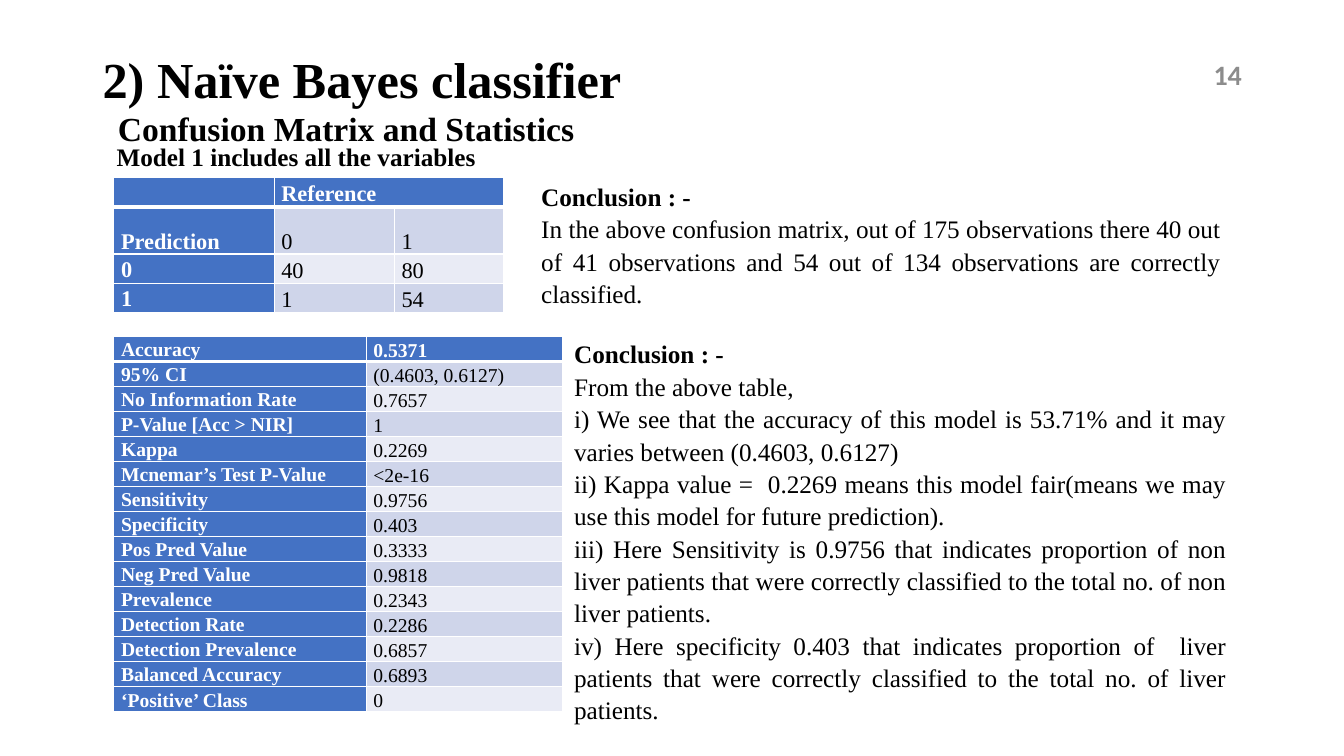
from lxml.etree import SubElement
from pptx import Presentation
from pptx.dml.color import RGBColor
from pptx.enum.text import MSO_ANCHOR, MSO_AUTO_SIZE, PP_ALIGN
from pptx.oxml.ns import qn
from pptx.util import Cm, Pt

SERIF = "Times New Roman"
BLACK, WHITE, BLUE = "000000", "FFFFFF", "4472C4"
BANDS = ["E9EBF5", "CFD5EA"]


def style(paragraph, size, bold, color=BLACK, face=SERIF, align=PP_ALIGN.LEFT, spacing=None):
    paragraph.alignment = align
    paragraph.line_spacing = spacing
    paragraph.font.name = face
    paragraph.font.size = Pt(size)
    paragraph.font.bold = bold
    paragraph.font.color.rgb = RGBColor.from_string(color)


def border(cell, bottom_width):
    properties = cell._tc.get_or_add_tcPr()
    sides = [("a:lnL", 1), ("a:lnR", 1), ("a:lnT", 1), ("a:lnB", bottom_width)]
    for position, (side, width) in enumerate(sides):
        line = properties.makeelement(qn(side), {"w": str(Pt(width))})
        properties.insert(position, line)
        SubElement(SubElement(line, qn("a:solidFill")), qn("a:srgbClr"), val=WHITE)


presentation = Presentation()
presentation.slide_width = Cm(33.87)
presentation.slide_height = Cm(19.05)
slide = presentation.slides.add_slide(presentation.slide_layouts[5])

title = slide.shapes.title
title.left, title.top, title.width, title.height = Cm(2.33), Cm(1.01), Cm(29.21), Cm(2.1)
title.text_frame.text = "2) Naïve Bayes classifier"
title.text_frame.vertical_anchor = MSO_ANCHOR.MIDDLE
title.text_frame.auto_size = MSO_AUTO_SIZE.NONE
style(title.text_frame.paragraphs[0], 36, True, spacing=0.9)

confusion_matrix = [
    ["", "Reference", ""],
    ["Prediction", "0", "1"],
    ["0", "40", "80"],
    ["1", "1", "54"],
]
statistics = [
    ["Accuracy", "0.5371"],
    ["95% CI", "(0.4603, 0.6127)"],
    ["No Information Rate", "0.7657"],
    ["P-Value [Acc > NIR]", "1"],
    ["Kappa", "0.2269"],
    ["Mcnemar’s Test P-Value", "<2e-16"],
    ["Sensitivity", "0.9756"],
    ["Specificity", "0.403"],
    ["Pos Pred Value", "0.3333"],
    ["Neg Pred Value", "0.9818"],
    ["Prevalence", "0.2343"],
    ["Detection Rate", "0.2286"],
    ["Detection Prevalence", "0.6857"],
    ["Balanced Accuracy", "0.6893"],
    ["‘Positive’ Class", "0"],
]
tables = [
    (confusion_matrix, 4.47, [4.04, 3.03, 2.74], [0.74, 1.19, 0.74, 0.74], 16, [(1, 0)]),
    (statistics, 8.48, [6.36, 4.94], [0.63] * 15, 14, [(14, 0)]),
]
for values, top, widths, heights, size, bottom_labels in tables:
    table = slide.shapes.add_table(
        len(values), len(widths), Cm(2.87), Cm(top), Cm(sum(widths)), Cm(sum(heights))
    ).table
    table.first_col = True
    for column, width in zip(table.columns, widths):
        column.width = Cm(width)
    for row, height in zip(table.rows, heights):
        row.height = Cm(height)
    for r, row_values in enumerate(values):
        for c, value in enumerate(row_values):
            cell = table.cell(r, c)
            is_header = r == 0 or c == 0
            is_middle = c == 0 and (r, c) not in bottom_labels
            cell.text = value
            cell.margin_left = cell.margin_right = Cm(0.18)
            cell.margin_top = cell.margin_bottom = 0
            cell.vertical_anchor = MSO_ANCHOR.MIDDLE if is_middle else MSO_ANCHOR.BOTTOM
            cell.fill.solid()
            cell.fill.fore_color.rgb = RGBColor.from_string(BLUE if is_header else BANDS[r % 2])
            border(cell, 3 if r == 0 else 1)
            style(cell.text_frame.paragraphs[0], size, is_header,
                  WHITE if is_header else BLACK, align=PP_ALIGN.JUSTIFY, spacing=1.07)
    if values is confusion_matrix:
        table.cell(0, 1).merge(table.cell(0, 2))

conclusions = [
    (13.39, 4.39, 17.63, 3.51, [
        "Conclusion : -",
        "In the above confusion matrix, out of 175 observations there 40 out of 41 observations and 54 out of 134 observations are correctly classified.",
    ]),
    (14.22, 8.36, 16.94, 9.27, [
        "Conclusion : -",
        "From the above table, ",
        "i) We see that the accuracy of this model is 53.71% and it may varies between (0.4603, 0.6127)",
        "ii) Kappa value =  0.2269 means this model fair(means we may use this model for future prediction).",
        "iii) Here Sensitivity is 0.9756 that indicates proportion of non liver patients that were correctly classified to the total no. of non liver patients. ",
        "iv) Here specificity 0.403 that indicates proportion of  liver patients that were correctly classified to the total no. of liver patients.",
    ]),
]
for left, top, width, height, lines in conclusions:
    conclusion = slide.shapes.add_textbox(Cm(left), Cm(top), Cm(width), Cm(height)).text_frame
    conclusion.word_wrap = True
    conclusion.text = "\n".join(lines)
    for index, paragraph in enumerate(conclusion.paragraphs):
        style(paragraph, 18, index == 0, align=PP_ALIGN.JUSTIFY, spacing=1.07)

labels = [
    ("Model 1 includes all the variables", 2.69, 3.43, 17.73, 1.02, 18, BLACK, SERIF, PP_ALIGN.LEFT),
    ("Confusion Matrix and Statistics", 2.72, 2.59, 15.27, 1.27, 24, BLACK, SERIF, PP_ALIGN.LEFT),
    ("14", 23.93, 1.37, 7.62, 1.02, 20, "8C8C8C", "Calibri", PP_ALIGN.RIGHT),
]
for text, left, top, width, height, size, color, face, align in labels:
    label = slide.shapes.add_textbox(Cm(left), Cm(top), Cm(width), Cm(height)).text_frame
    label.word_wrap = True
    label.vertical_anchor = MSO_ANCHOR.MIDDLE if align == PP_ALIGN.RIGHT else MSO_ANCHOR.TOP
    label.text = text
    style(label.paragraphs[0], size, True, color, face, align)

presentation.save("out.pptx")
